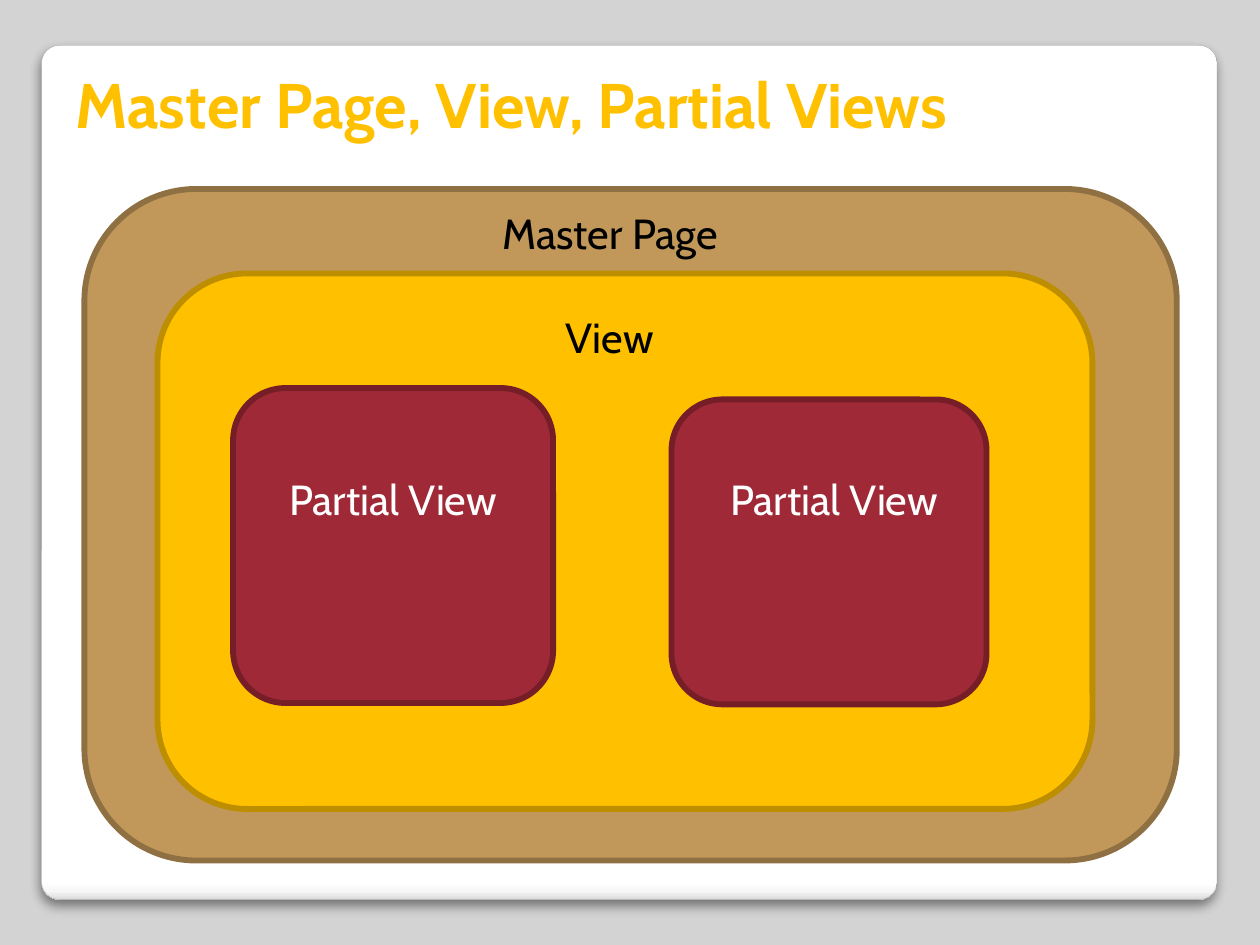
import pptx
import pptx.util
import pptx.dml.color
import pptx.enum.shapes
import pptx.enum.text
import pptx.oxml
import pptx.oxml.ns

Inches = pptx.util.Inches
Pt = pptx.util.Pt
RGBColor = pptx.dml.color.RGBColor
ALIGN = pptx.enum.text.PP_ALIGN
ANCHOR = pptx.enum.text.MSO_ANCHOR

GREY = RGBColor(0xD3, 0xD3, 0xD3)
EDGE = RGBColor(0xA4, 0xA4, 0xA4)
TAN = RGBColor(0xC1, 0x98, 0x59)
BROWN = RGBColor(0x8F, 0x70, 0x42)
GOLD = RGBColor(0xFF, 0xC0, 0x00)
OCHRE = RGBColor(0xBD, 0x8E, 0x00)
RED = RGBColor(0x9F, 0x29, 0x36)
WINE = RGBColor(0x76, 0x1E, 0x28)
WHITE = RGBColor(0xFF, 0xFF, 0xFF)
BLACK = RGBColor(0x00, 0x00, 0x00)

deck = pptx.Presentation()
deck.slide_width = Inches(10)
deck.slide_height = Inches(7.5)
slide = deck.slides.add_slide(deck.slide_layouts[6])
slide.background.fill.solid()
slide.background.fill.fore_color.rgb = GREY


def add_box(left, top, width, height, fill, line, weight):
    box = slide.shapes.add_shape(
        pptx.enum.shapes.MSO_SHAPE.ROUNDED_RECTANGLE,
        Inches(left), Inches(top), Inches(width), Inches(height))
    box.shadow.inherit = False
    box.fill.solid()
    box.fill.fore_color.rgb = fill
    box.line.color.rgb = line
    box.line.width = Pt(weight)
    return box


def add_label(left, top, width, height, text, size, color, align):
    label = slide.shapes.add_textbox(
        Inches(left), Inches(top), Inches(width), Inches(height))
    frame = label.text_frame
    frame.word_wrap = True
    frame.text = text
    para = frame.paragraphs[0]
    para.alignment = align
    font = para.runs[0].font
    font.name = "Cabin"
    font.size = Pt(size)
    font.color.rgb = color
    return label


card = add_box(0.33, 0.36, 9.33, 6.78, WHITE, EDGE, 0.16)
card.adjustments[0] = 0.021
space = pptx.oxml.ns.nsdecls("a")
stops = "".join(
    f'<a:gs pos="{place * 1000}"><a:srgbClr val="{tone}"/></a:gs>'
    for place, tone in [(0, "FFFFFF"), (98, "FFFFFF"), (99, "F7F7F7"), (100, "DADADA")])
grad = pptx.oxml.parse_xml(
    f'<a:gradFill {space}><a:gsLst>{stops}</a:gsLst>'
    '<a:lin ang="5400000" scaled="0"/></a:gradFill>')
props = card.element.spPr
props.replace(props.find(pptx.oxml.ns.qn("a:solidFill")), grad)
shade = pptx.oxml.parse_xml(
    f'<a:effectLst {space}><a:outerShdw blurRad="{Pt(6)}" dist="{Pt(4)}" '
    'dir="5400000" algn="t" rotWithShape="0"><a:srgbClr val="000000">'
    '<a:alpha val="45000"/></a:srgbClr></a:outerShdw></a:effectLst>')
props.replace(props.find(pptx.oxml.ns.qn("a:effectLst")), shade)

title = add_label(0.5, 0.5, 8.95, 0.67, "Master Page, View, Partial Views",
                  36, GOLD, ALIGN.LEFT)
title.text_frame.vertical_anchor = ANCHOR.BOTTOM
title.text_frame.paragraphs[0].runs[0].font.bold = True

for left, top, width, height, fill, line in [
    (0.67, 1.5, 8.67, 5.33, TAN, BROWN),
    (1.25, 2.17, 7.42, 4.25, GOLD, OCHRE),
    (1.85, 3.08, 2.54, 2.5, RED, WINE),
    (5.33, 3.17, 2.5, 2.42, RED, WINE),
]:
    add_box(left, top, width, height, fill, line, 3.35)

for left, top, width, height, text, color in [
    (2.17, 3.71, 1.9, 0.91, "Partial View", WHITE),
    (5.67, 3.71, 1.9, 0.91, "Partial View", WHITE),
    (4.2, 2.42, 1.28, 0.5, "View", BLACK),
    (3.84, 1.6, 2.01, 0.5, "Master Page", BLACK),
]:
    add_label(left, top, width, height, text, 24, color, ALIGN.CENTER)

deck.save("out.pptx")
